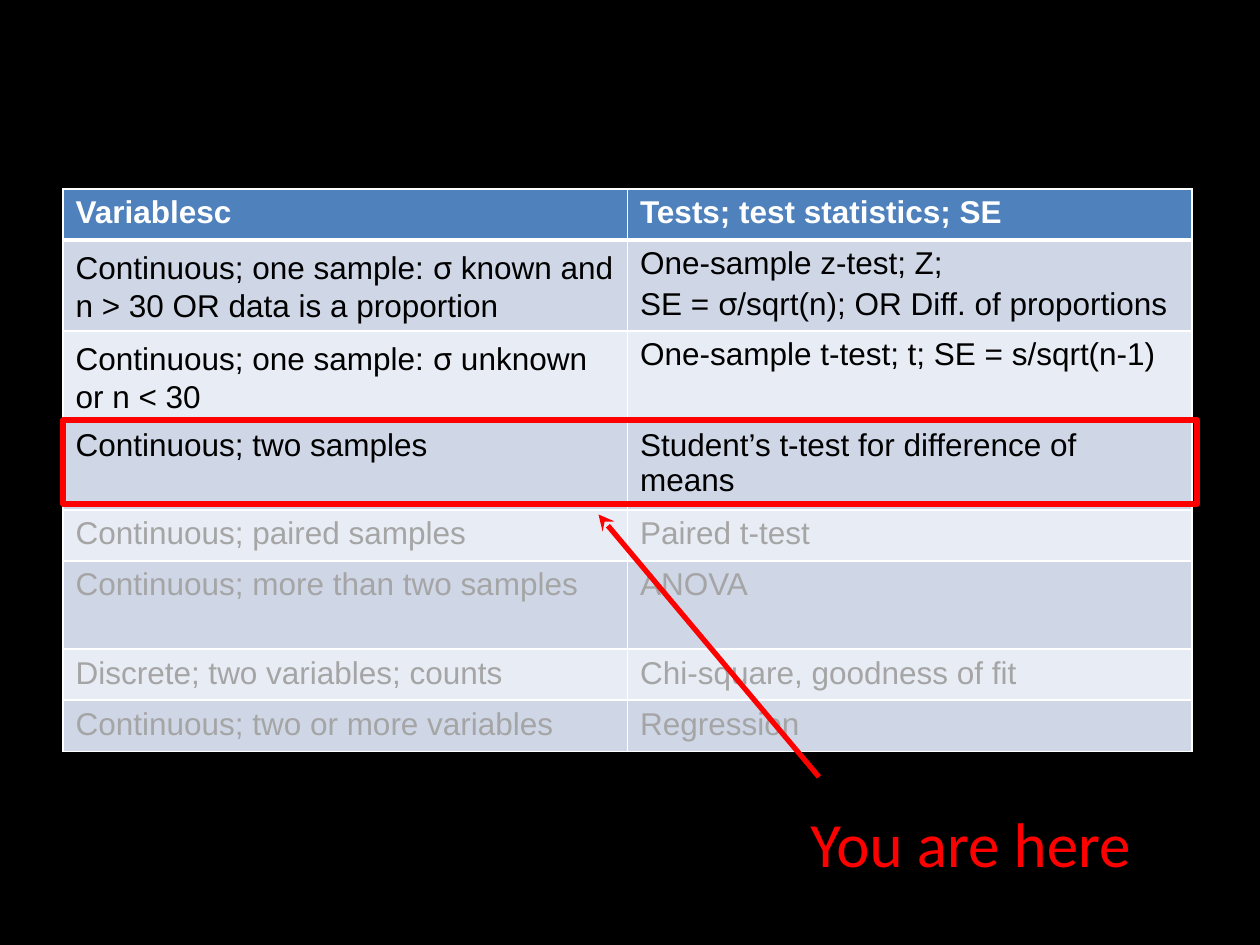
"""Build a slide that marks the current place in a table of statistical tests."""
from lxml.etree import SubElement
from pptx import Presentation
from pptx.dml.color import RGBColor
from pptx.enum.shapes import MSO_CONNECTOR, MSO_SHAPE
from pptx.oxml.ns import qn
from pptx.util import Pt

HEAD = ("Variablesc", "Tests; test statistics; SE")
KNOWN = [
    ([["Continuous; one sample: ", "σ", " known and n > 30 OR data is a proportion"]],
     [["One-sample z-test; Z;"],
      ["SE = ", "σ", "/sqrt(n); OR Diff. of proportions"]]),
    ([["Continuous; one sample: ", "σ", " unknown or n < 30"]],
     [["One-sample t-test; t; SE = s/sqrt(n-1)"]]),
    ([["Continuous; two samples"]],
     [["Student’s t-test for difference of means"]]),
]
LATER = [
    ("Continuous; paired samples", "Paired t-test"),
    ("Continuous; more than two samples", "ANOVA"),
    ("Discrete; two variables; counts", "Chi-square, goodness of fit"),
    ("Continuous; two or more variables", "Regression"),
]
NOTE = "You are here"
LOW, TALL = 29.2, 50.4
ROWS = [LOW, TALL, TALL, TALL, LOW, TALL, LOW, LOW]
LEFT, TOP, COL = 36, 108, 322.6
THEME = {
    "back": "000000", "head": "4F81BD", "bands": ("E8ECF4", "CFD7E7"),
    "white": "FFFFFF", "ink": "000000", "dim": "A5A5A5", "mark": "FF0000",
    "font": "Arial", "greek": "Noto Sans", "label": "Calibri",
    "size": 18, "big": 36, "line": 3, "rule": 1,
}


def rgb(name):
    return RGBColor.from_string(name)


def write(frame, paras, color, size, font, bold=False):
    for num, parts in enumerate(paras):
        para = frame.add_paragraph() if num else frame.paragraphs[0]
        for part in parts:
            run = para.add_run()
            run.text = part
            run.font.name = THEME["greek"] if part == "σ" else font
            run.font.size = Pt(size)
            run.font.bold = bold
            run.font.color.rgb = rgb(color)


def edge(cell, low):
    props = cell._tc.get_or_add_tcPr()
    for num, side in enumerate(("lnL", "lnR", "lnT", "lnB")):
        width = low if side == "lnB" else THEME["rule"]
        line = SubElement(props, qn("a:" + side), w=str(Pt(width)))
        fill = SubElement(line, qn("a:solidFill"))
        SubElement(fill, qn("a:srgbClr"), val=THEME["white"])
        props.remove(line)
        props.insert(num, line)


def add_grid(slide):
    rows = [([[HEAD[0]]], [[HEAD[1]]])] + KNOWN
    rows += [([[left]], [[right]]) for left, right in LATER]
    grid = slide.shapes.add_table(
        len(rows), 2, Pt(LEFT), Pt(TOP), Pt(2 * COL), Pt(sum(ROWS))).table
    for col in grid.columns:
        col.width = Pt(COL)
    for num, row in enumerate(rows):
        grid.rows[num].height = Pt(ROWS[num])
        head = num == 0
        fill = THEME["head"] if head else THEME["bands"][num % 2]
        ink = THEME["dim"] if num > len(KNOWN) else THEME["ink"]
        for spot, paras in enumerate(row):
            cell = grid.cell(num, spot)
            cell.fill.solid()
            cell.fill.fore_color.rgb = rgb(fill)
            edge(cell, THEME["line"] if head else THEME["rule"])
            write(cell.text_frame, paras, THEME["white"] if head else ink,
                  THEME["size"], THEME["font"], head)


def add_mark(slide):
    frame = slide.shapes.add_shape(
        MSO_SHAPE.RECTANGLE, Pt(LEFT), Pt(240), Pt(648), Pt(48))
    frame.shadow.inherit = False
    frame.fill.background()
    arrow = slide.shapes.add_connector(
        MSO_CONNECTOR.STRAIGHT, Pt(468), Pt(444), Pt(342), Pt(294))
    for item in (frame, arrow):
        item.line.color.rgb = rgb(THEME["mark"])
        item.line.width = Pt(THEME["line"])
    SubElement(arrow.line._get_or_add_ln(), qn("a:tailEnd"), type="stealth")
    SubElement(arrow._element.spPr, qn("a:effectLst"))
    box = slide.shapes.add_textbox(Pt(456), Pt(456), Pt(234), Pt(51))
    box.text_frame.word_wrap = True
    write(box.text_frame, [[NOTE]], THEME["mark"], THEME["big"], THEME["label"])


def main():
    deck = Presentation()
    deck.slide_width, deck.slide_height = Pt(720), Pt(540)
    slide = deck.slides.add_slide(deck.slide_layouts[6])
    slide.background.fill.solid()
    slide.background.fill.fore_color.rgb = rgb(THEME["back"])
    add_grid(slide)
    add_mark(slide)
    deck.save("out.pptx")


if __name__ == "__main__":
    main()
